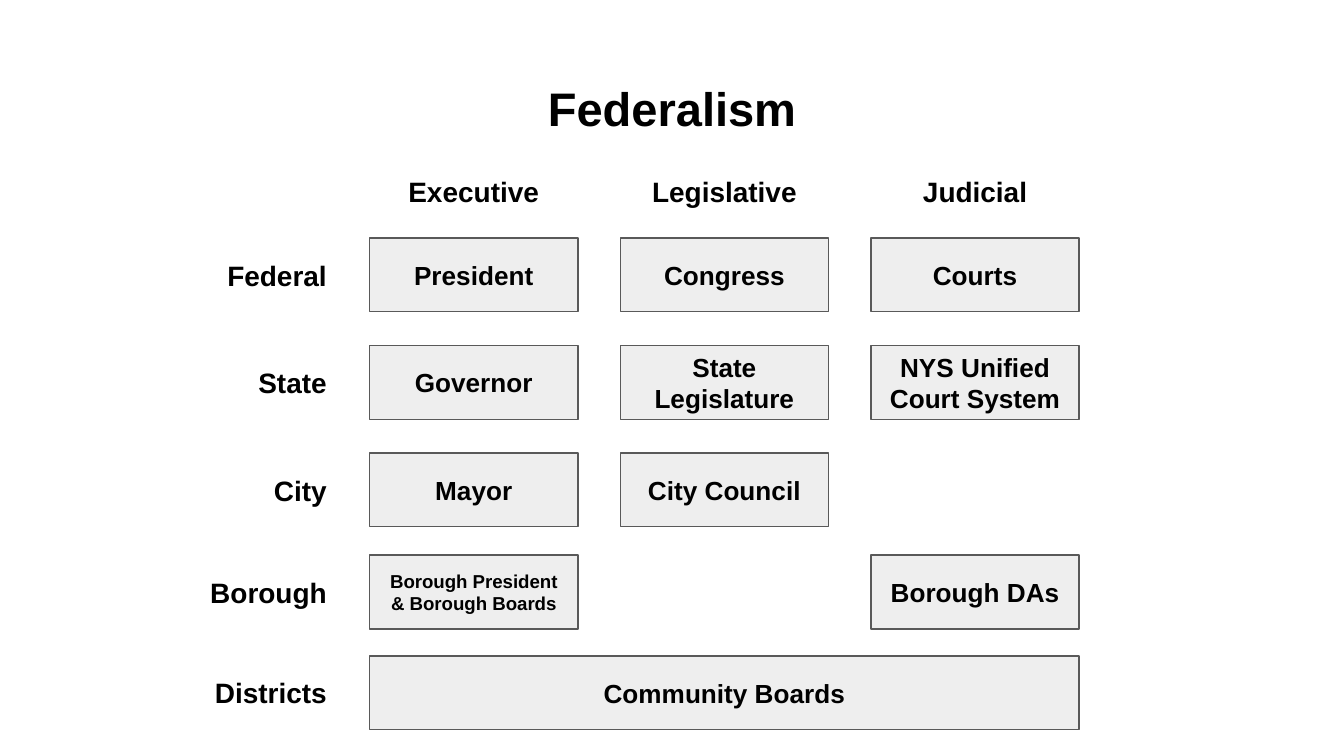
from pptx import Presentation
from pptx.dml.color import RGBColor
from pptx.enum.shapes import MSO_SHAPE as Kind
from pptx.enum.text import MSO_ANCHOR as Anchor, PP_ALIGN as Align
from pptx.util import Inches, Pt

TITLE = "Federalism"
HEADS = ["Executive", "Legislative", "Judicial"]
ROWS = [
    (1.77, "Federal", [(0, 1, "President"), (1, 1, "Congress"), (2, 1, "Courts")]),
    (2.57, "State", [(0, 1, "Governor"), (1, 1, "State Legislature"),
                     (2, 1, "NYS Unified Court System")]),
    (3.37, "City", [(0, 1, "Mayor"), (1, 1, "City Council")]),
    (4.13, "Borough", [(0, 1, "Borough President & Borough Boards"),
                       (2, 1, "Borough DAs")]),
    (4.88, "Districts", [(0, 3, "Community Boards")]),
]
SMALL = {"Borough President & Borough Boards": 10}
WIDE = 10
HIGH = WIDE * 9 / 16
LEFT, RIGHT, CELL, TALL = 2.75, 8.03, 1.55, 0.55
STEP = (RIGHT - LEFT - CELL) / (len(HEADS) - 1)
SIDE, TOP, EDGE = 0.98, 1.2, 0.34


def tint(code):
    return RGBColor.from_string(code)


def write(shape, text, size, align=Align.CENTER, anchor=Anchor.MIDDLE):
    frame = shape.text_frame
    look = {"word_wrap": True, "vertical_anchor": anchor}
    look |= {f"margin_{side}": Inches(0.1) for side in ("left", "right", "top", "bottom")}
    for name, value in look.items():
        setattr(frame, name, value)
    para = frame.paragraphs[0]
    para.alignment = align
    run = para.add_run()
    run.text = text
    for name, value in {"name": "Arial", "size": Pt(size), "bold": True}.items():
        setattr(run.font, name, value)
    run.font.color.rgb = tint("000000")


def label(shapes, area, text, size, **look):
    write(shapes.add_textbox(*map(Inches, area)), text, size, **look)


def block(shapes, area, text):
    box = shapes.add_shape(Kind.RECTANGLE, *map(Inches, area))
    box.shadow.inherit = False
    box.fill.solid()
    box.fill.fore_color.rgb = tint("EEEEEE")
    box.line.color.rgb = tint("595959")
    box.line.width = Pt(0.75)
    write(box, text, SMALL.get(text, 14))


def place(col, top, span=1):
    return LEFT + col * STEP, top, CELL + (span - 1) * STEP, TALL


def main():
    """Build the chart of government levels and branches."""
    deck = Presentation()
    deck.slide_width, deck.slide_height = Inches(WIDE), Inches(HIGH)
    shapes = deck.slides.add_slide(deck.slide_layouts[6]).shapes
    label(shapes, (EDGE, 0.49, WIDE - 2 * EDGE, 0.63), TITLE, 25.2)
    for col, head in enumerate(HEADS):
        label(shapes, place(col, TOP), head, 15, anchor=Anchor.TOP)
    for top, level, cells in ROWS:
        group = shapes.add_group_shape().shapes
        label(group, (SIDE, top, CELL, TALL), level, 15, align=Align.RIGHT)
        for col, span, text in cells:
            block(group, place(col, top, span), text)
    deck.save("out.pptx")


if __name__ == "__main__":
    main()
